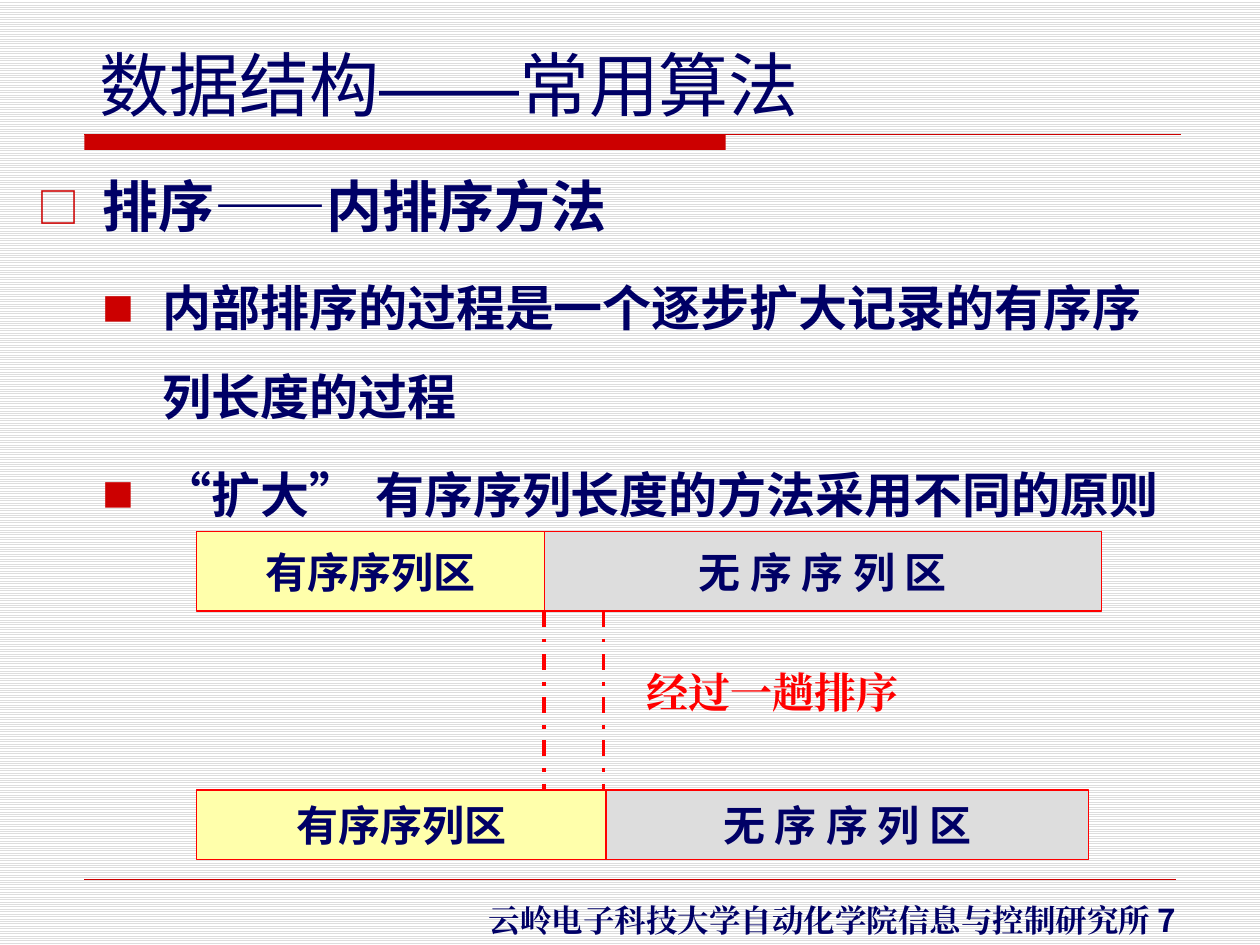
from pptx import Presentation
from pptx.dml.color import RGBColor
from pptx.enum.dml import MSO_LINE, MSO_PATTERN
from pptx.enum.shapes import MSO_CONNECTOR, MSO_SHAPE
from pptx.enum.text import MSO_ANCHOR, MSO_AUTO_SIZE, PP_ALIGN
from pptx.oxml.ns import qn
from pptx.util import Inches, Pt
from lxml.etree import SubElement

NAVY = RGBColor(0x00, 0x00, 0x66)
CRIMSON = RGBColor(0xCC, 0x00, 0x00)
RED = RGBColor(0xFF, 0x00, 0x00)
YELLOW = RGBColor(0xFF, 0xFF, 0xAB)
GRAY = RGBColor(0xDD, 0xDD, 0xDD)
WHITE = RGBColor(0xFF, 0xFF, 0xFF)
SANS, NOTO = "DejaVu Sans", "Noto Sans CJK SC"
ARIAL, TIMES = "Arial", "Times New Roman"


def place(shape, left, top, width, height):
    shape.left, shape.top = Inches(left), Inches(top)
    shape.width, shape.height = Inches(width), Inches(height)


def add_spans(para, spans, size, color=NAVY, bold=True):
    """Add (text, font) pairs, naming the font for Latin and East Asian text."""
    for text, name in spans:
        span = para.add_run()
        span.text = text
        font = span.font
        font.size, font.bold, font.name = Pt(size), bold, name
        font.color.rgb = color
        east_asian = SubElement(span._r.get_or_add_rPr(), qn("a:ea"))
        east_asian.set("typeface", name)


def set_bullet(para, mark, percent, margin, hanging):
    props = para._p.get_or_add_pPr()
    props.set("marL", str(Inches(margin)))
    props.set("indent", str(-Inches(hanging)))
    color = SubElement(SubElement(props, qn("a:buClr")), qn("a:srgbClr"))
    color.set("val", str(CRIMSON))
    SubElement(props, qn("a:buSzPct")).set("val", str(percent * 1000))
    SubElement(props, qn("a:buFont")).set("typeface", NOTO)
    SubElement(props, qn("a:buChar")).set("char", mark)


def add_line(page, start, end, color, width, dash=None):
    line = page.shapes.add_connector(
        MSO_CONNECTOR.STRAIGHT, *(Inches(value) for value in start + end))
    line.line.color.rgb = color
    line.line.width = Pt(width)
    if dash:
        line.line.dash_style = dash
    SubElement(line._element.spPr, qn("a:effectLst"))


def add_box(page, left, top, width, height, color):
    box = page.shapes.add_shape(MSO_SHAPE.RECTANGLE, 0, 0, 0, 0)
    place(box, left, top, width, height)
    box.shadow.inherit = False
    box.fill.solid()
    box.fill.fore_color.rgb = color
    return box


def add_label(page, left, top, width, height, spans, size, color=NAVY, wrap=False):
    label = page.shapes.add_textbox(0, 0, 0, 0)
    place(label, left, top, width, height)
    label.text_frame.word_wrap = wrap
    add_spans(label.text_frame.paragraphs[0], spans, size, color)


def fill_title(page, left, top, width, height):
    title = page.shapes.title
    place(title, left, top, width, height)
    frame = title.text_frame
    frame.word_wrap = False
    frame.auto_size = MSO_AUTO_SIZE.NONE
    frame.vertical_anchor = MSO_ANCHOR.TOP
    para = frame.paragraphs[0]
    para.alignment = PP_ALIGN.LEFT
    add_spans(para, [("数据结构", SANS), ("——", ARIAL), ("常用算法", SANS)], 40, bold=False)


def add_rules(page, left, top, width, bottom):
    """Draw the heavy rule below the title and the thin one above the footer."""
    bar = add_box(page, left, top, 5.09, 0.12, CRIMSON)
    bar.line.fill.background()
    add_line(page, (left, top), (left + width, top), CRIMSON, 0.75)
    add_line(page, (left, bottom), (9.33, bottom), CRIMSON, 0.25)


def fill_body(page, left, top, width, height):
    body = page.placeholders[1]
    place(body, left, top, width, height)
    frame = body.text_frame
    frame.auto_size = MSO_AUTO_SIZE.NONE
    heading = frame.paragraphs[0]
    set_bullet(heading, "□", 75, 0.51, 0.51)
    add_spans(heading, [("排序——", NOTO), ("内", SANS), ("排序方法", NOTO)], 32)
    points = [
        [("内部排序的过程是一个逐步扩大记录的有序序列长度的过程", SANS)],
        [("“", NOTO), ("扩大", SANS), ("”", NOTO),
         (" 有序序列长度的方法采用不同的原则", SANS)],
    ]
    for spans in points:
        para = frame.add_paragraph()
        para.level = 1
        para.line_spacing = 1.5
        set_bullet(para, "■", 65, 0.99, 0.48)
        add_spans(para, spans, 28)


def add_sequence(page, left, top, height, sorted_width, unsorted_width):
    """Draw one record row: the sorted zone, then the unsorted zone."""
    zones = [
        ("有序序列区", left, sorted_width, YELLOW),
        ("无 序 序 列 区", left + sorted_width, unsorted_width, GRAY),
    ]
    for text, start, width, color in zones:
        box = add_box(page, start, top, width, height, color)
        box.line.color.rgb = RED
        box.line.width = Pt(0.75)
        frame = box.text_frame
        frame.word_wrap = False
        frame.vertical_anchor = MSO_ANCHOR.MIDDLE
        para = frame.paragraphs[0]
        para.alignment = PP_ALIGN.CENTER
        add_spans(para, [(text, NOTO)], 24)


def add_sorting_diagram(page, left, top, bottom):
    add_sequence(page, left, top, 0.63, 2.76, 4.42)
    add_sequence(page, left, bottom, 0.55, 3.25, 3.83)
    for x in (left + 2.76, left + 3.23):
        add_line(page, (x, top + 0.63), (x, bottom), RED, 2.25, MSO_LINE.DASH_DOT)
    add_label(page, left + 3.47, top + 1.02, 3.83, 0.5,
              [("经过一趟排序", TIMES)], 24, RED, wrap=True)


def main():
    deck = Presentation()
    deck.slide_width, deck.slide_height = Inches(10), Inches(7.5)
    page = deck.slides.add_slide(deck.slide_layouts[1])
    backdrop = page.background.fill
    backdrop.patterned()
    backdrop.pattern = MSO_PATTERN.LIGHT_HORIZONTAL
    backdrop.fore_color.rgb = GRAY
    backdrop.back_color.rgb = WHITE

    add_rules(page, 0.67, 1.07, 8.7, 6.98)
    fill_title(page, 0.69, 0.28, 5.75, 0.77)
    add_label(page, 3.78, 7.1, 6.11, 0.4,
              [("云岭电子科技大学自动化学院信息与控制研究所", TIMES), (" 7", NOTO)], 18)
    fill_body(page, 0.2, 1.31, 9.29, 5.11)
    add_sorting_diagram(page, 1.56, 4.22, 6.27)
    deck.save("out.pptx")


if __name__ == "__main__":
    main()
